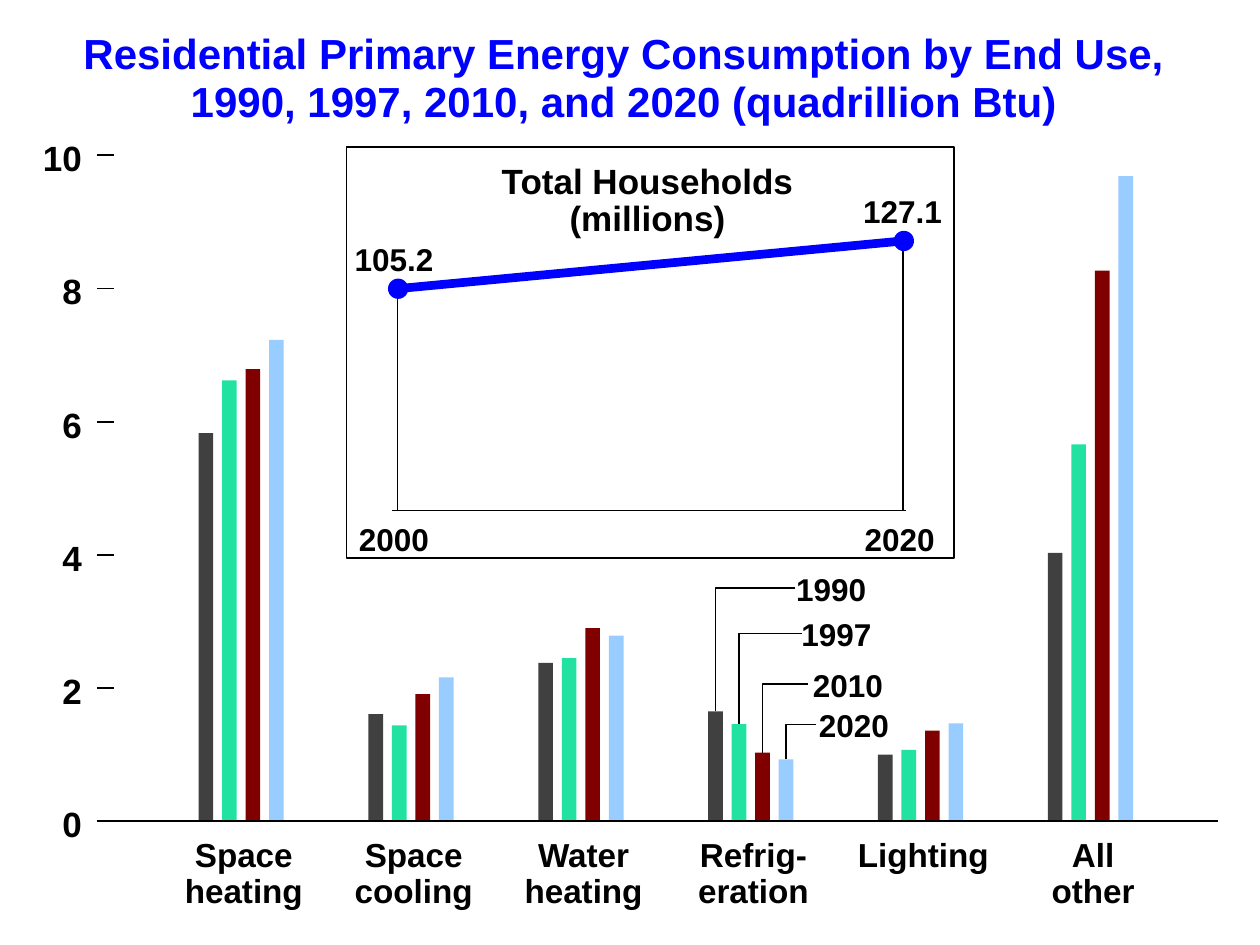
import pptx
import pptx.util
import pptx.dml.color
import pptx.enum.shapes
import pptx.enum.text
import pptx.oxml

Pt = pptx.util.Pt
Align = pptx.enum.text.PP_ALIGN
Kind = pptx.enum.shapes.MSO_SHAPE

BLACK, BLUE = "000000", "0000FF"
TITLE = ["Residential Primary Energy Consumption by End Use,",
         "1990, 1997, 2010, and 2020 (quadrillion Btu)"]
USES = [["Space", "heating"], ["Space", "cooling"], ["Water", "heating"],
        ["Refrig-", "eration"], ["Lighting"], ["All", "other"]]
YEARS = [
    ("1990", "404040", [5.83, 1.61, 2.38, 1.65, 1.0, 4.03]),
    ("1997", "22E2A1", [6.62, 1.44, 2.45, 1.46, 1.07, 5.66]),
    ("2010", "800000", [6.79, 1.91, 2.9, 1.03, 1.36, 8.27]),
    ("2020", "99CCFF", [7.23, 2.16, 2.79, 0.93, 1.47, 9.69]),
]
KEYS = [(336, 454.5, 455), (362, 458, 458), (391, 461.5, 464.5), (414, 466, 468)]
HOMES = [("2000", "105.2", 227, 165), ("2020", "127.1", 516, 137.7)]

BASE, UNIT = 469.3, 38.05
LEFT, GROUP, STEP, BAR = 113.5, 97.06, 13.44, 8.4
KEYED = 3
FLOOR = 291.6

deck = pptx.Presentation()
deck.slide_width, deck.slide_height = Pt(720), Pt(540)
slide = deck.slides.add_slide(deck.slide_layouts[6])
shapes = slide.shapes


def color(code):
    return pptx.dml.color.RGBColor.from_string(code)


def level(value):
    return BASE - value * UNIT


def bar_x(group, year):
    return LEFT + group * GROUP + year * STEP


def paint(shape, fill=None, line=None, width=1):
    shape.shadow.inherit = False
    if fill:
        shape.fill.solid()
        shape.fill.fore_color.rgb = color(fill)
    else:
        shape.fill.background()
    if line:
        shape.line.color.rgb = color(line)
        shape.line.width = Pt(width)
    else:
        shape.line.fill.background()


def block(kind, x, y, w, h, fill=None, line=None):
    shape = shapes.add_shape(kind, Pt(x), Pt(y), Pt(w), Pt(h))
    paint(shape, fill, line)


def rule(x1, y1, x2, y2, width=1, code=BLACK):
    line = shapes.add_connector(pptx.enum.shapes.MSO_CONNECTOR.STRAIGHT,
                                Pt(x1), Pt(y1), Pt(x2), Pt(y2))
    line.line.color.rgb = color(code)
    line.line.width = Pt(width)
    props = line._element.spPr
    props.append(pptx.oxml.parse_xml(
        '<a:effectLst xmlns:a="http://schemas.openxmlformats.org/drawingml/2006/main"/>'))


def label(lines, x, y, w, size, align=Align.CENTER, space=1.0, code=BLACK):
    box = shapes.add_textbox(Pt(x), Pt(y), Pt(w), Pt(len(lines) * size * 1.2 * space))
    frame = box.text_frame
    frame.word_wrap = False
    frame.margin_left = frame.margin_right = 0
    frame.margin_top = frame.margin_bottom = 0
    for i, text in enumerate(lines):
        para = frame.add_paragraph() if i else frame.paragraphs[0]
        para.alignment = align
        para.line_spacing = space
        run = para.add_run()
        run.text = text
        run.font.name = "Arial"
        run.font.size = Pt(size)
        run.font.bold = True
        run.font.color.rgb = color(code)


def leader(year, y, end):
    x = bar_x(KEYED, year) + BAR / 2
    foot = level(YEARS[year][2][KEYED])
    path = shapes.build_freeform(Pt(end), Pt(y), scale=1.0)
    path.add_line_segments([(Pt(x), Pt(y)), (Pt(x), Pt(foot))], close=False)
    paint(path.convert_to_shape(), line=BLACK)


def draw_bars():
    for year, (y, end, _) in enumerate(KEYS):
        leader(year, y, end)
    for year, (_, code, values) in reversed(list(enumerate(YEARS))):
        for group, value in enumerate(values):
            block(Kind.RECTANGLE, bar_x(group, year), level(value),
                  BAR, value * UNIT, fill=code)


def draw_axes():
    for value in range(0, 11, 2):
        text = str(value)
        y = level(value)
        wide = 11.2 * len(text)
        rule(55.5, y, 65, y)
        label([text], 46.8 - wide, y - 10.7, wide, 20, Align.RIGHT)
    rule(65, BASE, 696, BASE)
    for group, lines in enumerate(USES):
        mid = bar_x(group, 0) + (3 * STEP + BAR) / 2 + 1.5
        label(lines, mid - 37.5, 479.5, 75, 19, space=0.9)
    for (name, _, _), (y, _, x) in zip(YEARS, KEYS):
        label([name], x, y - 10.5, 40.3, 18, Align.LEFT)


def draw_inset():
    block(Kind.RECTANGLE, 198, 84.2, 347, 234.7, line=BLACK)
    label(["Total Households", "(millions)"], 285.8, 93.6, 168.5, 20, space=0.9)
    for year, total, x, y in HOMES:
        rule(x, y, x, FLOOR, 0.75)
        label([total], x - 23.7 + (-1 if x < 300 else 1) * 0.8, y - 28, 45.4, 18)
        label([year], x - 22, 297.4, 40.3, 18)
        block(Kind.OVAL, x - 5.3, y - 5.8, 11.6, 11.6, fill=BLUE)
    (_, _, x1, y1), (_, _, x2, y2) = HOMES
    rule(x1, y1, x2, y2, 5, BLUE)
    rule(x1 - 3, FLOOR, x2 + 2, FLOOR, 0.75)


draw_bars()
draw_axes()
label(TITLE, 47.5, 18, 617.8, 24, space=0.95, code=BLUE)
draw_inset()
deck.save("out.pptx")
